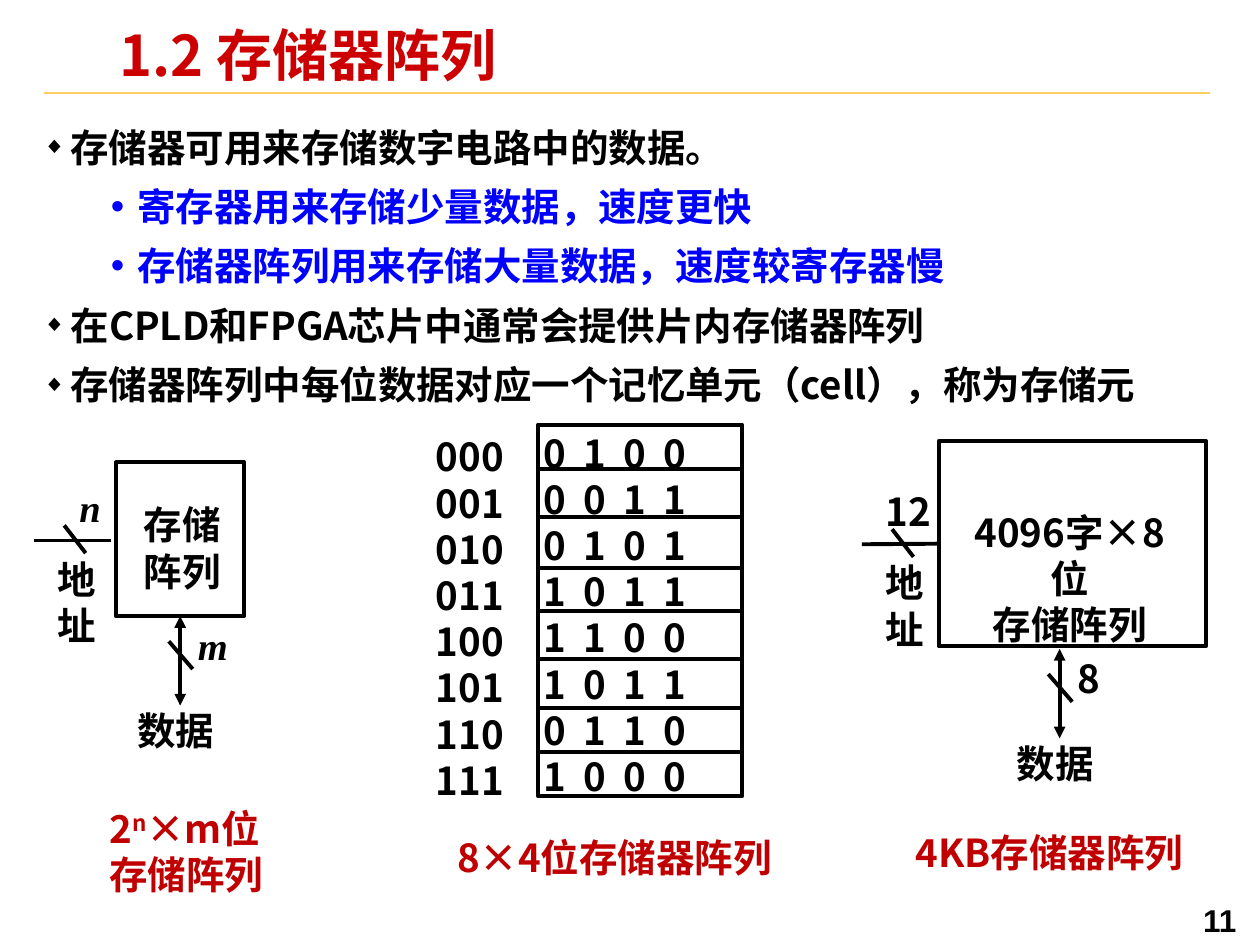
from dataclasses import dataclass

from lxml import etree
from pptx import Presentation
from pptx.dml.color import RGBColor
from pptx.enum.shapes import MSO_CONNECTOR, MSO_SHAPE
from pptx.enum.text import MSO_ANCHOR, MSO_AUTO_SIZE, PP_ALIGN
from pptx.oxml.ns import qn
from pptx.util import Pt

PX = 9144  # 100 px to the inch
STRAIGHT, RECT = MSO_CONNECTOR.STRAIGHT, MSO_SHAPE.RECTANGLE
LEFT, CENTER, JUSTIFY = PP_ALIGN.LEFT, PP_ALIGN.CENTER, PP_ALIGN.JUSTIFY
TOP, MIDDLE, NO_FIT = MSO_ANCHOR.TOP, MSO_ANCHOR.MIDDLE, MSO_AUTO_SIZE.NONE
SIDE_LEFT, SIDE_BOTTOM = 1, 2

BLACK = RGBColor(0, 0, 0)
SLASH = RGBColor(1, 2, 3)
WHITE = RGBColor(255, 255, 255)
BLUE = RGBColor(0, 0, 255)
TITLE_RED = RGBColor(0xCC, 0, 0)
CAPTION_RED = RGBColor(0xC0, 0, 0)
GOLD = RGBColor(0xFF, 0xCC, 0x66)
SANS, SERIF, ARIAL = "Noto Sans CJK SC", "Times New Roman", "Arial"


@dataclass(frozen=True)
class Box:
    x: int
    y: int
    w: int
    h: int

    def emu(self) -> tuple[int, ...]:
        return tuple(v * PX for v in (self.x, self.y, self.w, self.h))


@dataclass(frozen=True)
class Bullet:
    text: str
    level: int = 0


@dataclass(frozen=True)
class Memory:
    """A storage array with its address bus and data bus."""
    frame: Box
    label: Box
    lines: tuple[str, ...]
    address: tuple[int, int]
    address_width: str
    address_width_dx: int
    data: tuple[int, int]
    data_width: str
    font: str = SANS
    italic: bool = False


BULLETS = (
    Bullet("存储器可用来存储数字电路中的数据。"),
    Bullet("寄存器用来存储少量数据，速度更快", 1),
    Bullet("存储器阵列用来存储大量数据，速度较寄存器慢", 1),
    Bullet("在CPLD和FPGA芯片中通常会提供片内存储器阵列"),
    Bullet("存储器阵列中每位数据对应一个记忆单元（cell），称为存储元"),
)
MEMORIES = (
    Memory(Box(92, 367, 102, 122), Box(109, 398, 71, 70), ("存储阵列",),
           (27, 429), "n", 36, (143, 489), "m", SERIF, True),
    Memory(Box(745, 350, 212, 163), Box(759, 404, 180, 88),
           ("4096字×8位", "存储阵列"),
           (684, 432), "12", 19, (841, 515), "8"),
)
WORDS = ("0100", "0011", "0101", "1011", "1100", "1011", "0110", "1000")
DIVIDERS = (372, 410, 451, 485, 523, 562, 597)


def style(p, color=BLACK, size=22, font=SANS, align=LEFT, italic=False) -> None:
    p.alignment = align
    f = p.font
    f.name, f.size, f.bold, f.italic = font, Pt(size), True, italic
    f.color.rgb = color
    etree.SubElement(p._p.pPr.find(qn("a:defRPr")), qn("a:ea"), typeface=font)


def set_frame(tf, inset_x=0, inset_y=0, anchor=TOP) -> None:
    tf.word_wrap, tf.auto_size, tf.vertical_anchor = True, NO_FIT, anchor
    tf.margin_left = tf.margin_right = inset_x * PX
    tf.margin_top = tf.margin_bottom = inset_y * PX


def write(tf, lines, **look) -> None:
    for i, line in enumerate(lines):
        p = tf.add_paragraph() if i else tf.paragraphs[0]
        p.add_run().text = line
        style(p, **look)


def add_text(s, box: Box, *lines: str, inset=(0, 0), **look):
    tf = s.shapes.add_textbox(*box.emu()).text_frame
    set_frame(tf, *inset)
    write(tf, lines, **look)
    return tf


def add_line(s, x1: int, y1: int, x2: int, y2: int, color=BLACK, width=2.25,
             arrows=False):
    c = s.shapes.add_connector(STRAIGHT, x1 * PX, y1 * PX, x2 * PX, y2 * PX)
    c.line.color.rgb, c.line.width = color, Pt(width)
    if arrows:
        for end in ("a:headEnd", "a:tailEnd"):
            etree.SubElement(c.line._get_or_add_ln(), qn(end), type="triangle")
    etree.SubElement(c._element.spPr, qn("a:effectLst"))
    return c


def add_rect(s, box: Box):
    sp = s.shapes.add_shape(RECT, *box.emu())
    sp.shadow.inherit = False
    sp.fill.solid()
    sp.fill.fore_color.rgb = WHITE
    sp.line.color.rgb, sp.line.width = BLACK, Pt(2.25)
    return sp


def add_bullets(tf) -> None:
    write(tf, [b.text for b in BULLETS])
    for p, b in zip(tf.paragraphs, BULLETS):
        p.level, p.line_spacing, p.space_before = b.level, 1.2, Pt(2.2)
        p.font.color.rgb = BLUE if b.level else BLACK
        margin, hang, char, size = ((75, 21, "•", 100), (22, 22, "◆", 60))[b.level == 0]
        pPr = p._p.pPr
        pPr.set("marL", str(margin * PX))
        pPr.set("indent", str(-hang * PX))
        marks = (etree.Element(qn("a:buSzPct"), val=str(size * 1000)),
                 etree.Element(qn("a:buFont"), typeface=ARIAL),
                 etree.Element(qn("a:buChar"), char=char))
        for mark in marks:
            pPr.find(qn("a:defRPr")).addprevious(mark)


def add_memory(s, m: Memory) -> None:
    rect = add_rect(s, m.frame)
    add_text(s, m.label, *m.lines, align=CENTER)
    look = {"font": m.font, "italic": m.italic}
    # Address bus
    x, y = m.address
    bus = add_line(s, x, y, x + 61, y)
    if x + 61 == m.frame.x:
        bus.end_connect(rect, SIDE_LEFT)
    add_line(s, x + 24, y - 12, x + 41, y + 10, SLASH)
    add_text(s, Box(x + m.address_width_dx, y - 45, 42, 36), m.address_width, **look)
    add_text(s, Box(x + 10, y + 12, 48, 37), "地址", align=CENTER)
    # Data bus
    x, y = m.data
    bus = add_line(s, x, y, x, y + 71, arrows=True)
    if (x, y) == (m.frame.x + m.frame.w // 2, m.frame.y + m.frame.h):
        bus.begin_connect(rect, SIDE_BOTTOM)
    add_line(s, x - 9, y + 20, x + 10, y + 42, SLASH)
    add_text(s, Box(x + 14, y + 5, 42, 36), m.data_width, **look)
    add_text(s, Box(x - 34, y + 72, 68, 25), "数据")


def add_table_of_words(s) -> None:
    add_text(s, Box(346, 344, 74, 306), *(f"{i:03b}" for i in range(len(WORDS))))
    tf = add_rect(s, Box(427, 337, 162, 295)).text_frame
    set_frame(tf, 4, 4)
    write(tf, ["  ".join(word) for word in WORDS], align=JUSTIFY)
    for y in DIVIDERS:
        add_line(s, 428, y, 587, y)


def add_captions(s) -> None:
    look = {"inset": (10, 5), "color": CAPTION_RED}
    p = add_text(s, Box(77, 634, 156, 84), "2", **look).paragraphs[0]
    r = p.add_run()
    r.text = "n"
    r._r.get_or_add_rPr().set("baseline", "30000")
    p.add_run().text = "×m位存储阵列"
    add_text(s, Box(353, 657, 285, 47), "8×4位存储器阵列", **look)
    add_text(s, Box(717, 653, 236, 47), "4KB存储器阵列", **look)


def main() -> None:
    prs = Presentation()
    prs.slide_width, prs.slide_height = 1000 * PX, 750 * PX
    s = prs.slides.add_slide(prs.slide_layouts[1])
    # Title and bullet list
    add_line(s, 35, 74, 960, 74, GOLD, 1)
    title, body = s.shapes.title, s.placeholders[1]
    for sp, box, anchor in ((title, Box(88, 21, 664, 52), MIDDLE),
                            (body, Box(27, 88, 950, 243), TOP)):
        sp.left, sp.top, sp.width, sp.height = box.emu()
        set_frame(sp.text_frame, 7, 3, anchor)
    write(title.text_frame, ["1.2 存储器阵列"], color=TITLE_RED, size=32)
    title.text_frame.paragraphs[0].line_spacing = 0.87
    add_bullets(body.text_frame)
    # Diagrams, captions and page number
    for m in MEMORIES:
        add_memory(s, m)
    add_table_of_words(s)
    add_captions(s)
    add_text(s, Box(945, 710, 55, 36), "11", inset=(10, 5), size=18, font=ARIAL)
    prs.save("out.pptx")


if __name__ == "__main__":
    main()
